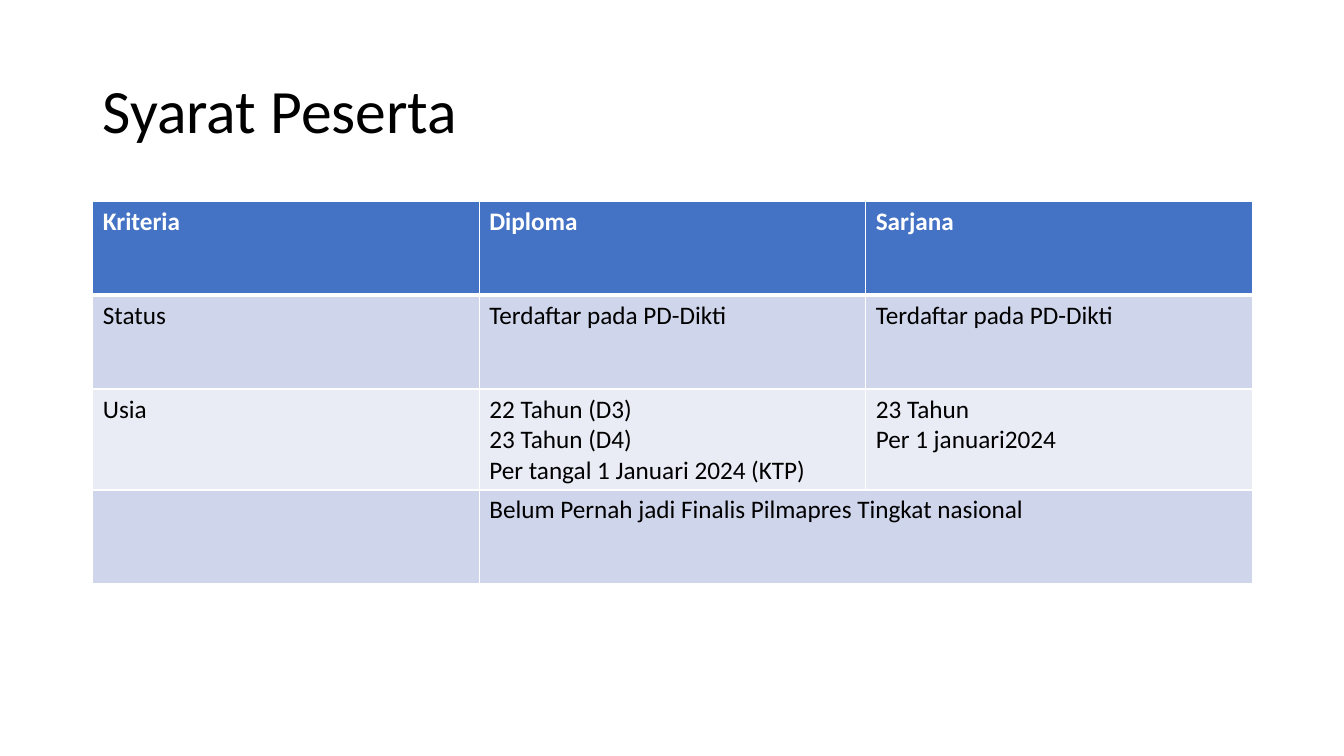
from dataclasses import dataclass

from lxml import etree
from pptx import Presentation, util as u
from pptx.dml.color import RGBColor
from pptx.enum import text
from pptx.oxml import ns


@dataclass(frozen=True)
class Theme:
    font: str = "Calibri"
    title_size: int = 44
    body_size: int = 18
    ink: str = "000000"
    paper: str = "FFFFFF"
    header: str = "4472C4"
    bands: tuple[str, str] = ("CFD5EA", "E9EBF5")
    border: float = 1
    header_rule: float = 3


@dataclass(frozen=True)
class Entry:
    lines: tuple[str, ...] = ()
    columns: int = 1


THEME = Theme()
WIDTH, HEIGHT = u.Inches(13.33), u.Inches(7.5)
MARGIN = u.Inches(0.92)
CONTENT_WIDTH = u.Inches(11.5)
TITLE_TOP, TITLE_HEIGHT = u.Inches(0.4), u.Inches(1.45)
TABLE_TOP, ROW_HEIGHT = u.Inches(2), u.Inches(0.93)
COLUMNS = 3

ROWS = (
    (Entry(("Kriteria",)), Entry(("Diploma",)), Entry(("Sarjana",))),
    (Entry(("Status",)), Entry(("Terdaftar pada PD-Dikti",)),
     Entry(("Terdaftar pada PD-Dikti",))),
    (Entry(("Usia",)),
     Entry(("22 Tahun (D3)", "23 Tahun (D4)", "Per tangal 1 Januari 2024 (KTP)")),
     Entry(("23 Tahun", "Per 1 januari2024"))),
    (Entry(), Entry(("Belum Pernah jadi Finalis Pilmapres Tingkat nasional",), columns=2)),
)


def write(frame, lines: tuple[str, ...], size: int, color: str, bold: bool = False) -> None:
    for index, line in enumerate(lines):
        para = frame.add_paragraph() if index else frame.paragraphs[0]
        span = para.add_run()
        span.text = line
        span.font.name = THEME.font
        span.font.size = u.Pt(size)
        span.font.bold = bold
        span.font.color.rgb = RGBColor.from_string(color)


def add_border(cell, side: str, points: float) -> None:
    """Draw one side of a cell; side is L, R, T or B."""
    properties = cell._tc.get_or_add_tcPr()
    line = etree.SubElement(properties, ns.qn(f"a:ln{side}"), w=str(u.Pt(points)))
    fill = etree.SubElement(line, ns.qn("a:solidFill"))
    etree.SubElement(fill, ns.qn("a:srgbClr"), val=THEME.paper)


def style_cell(cell, row: int) -> None:
    for side in "LRTB":
        # The header rule is shared by the header and the row below it.
        heavy = (row, side) in ((0, "B"), (1, "T"))
        add_border(cell, side, THEME.header_rule if heavy else THEME.border)
    color = THEME.bands[(row - 1) % 2] if row else THEME.header
    cell.fill.solid()
    cell.fill.fore_color.rgb = RGBColor.from_string(color)


def add_title(page, title: str) -> None:
    box = page.shapes.add_textbox(MARGIN, TITLE_TOP, CONTENT_WIDTH, TITLE_HEIGHT)
    frame = box.text_frame
    frame.word_wrap = True
    frame.vertical_anchor = text.MSO_ANCHOR.MIDDLE
    write(frame, (title,), THEME.title_size, THEME.ink)
    frame.paragraphs[0].line_spacing = 0.9


def add_criteria(page) -> None:
    table = page.shapes.add_table(len(ROWS), COLUMNS, MARGIN, TABLE_TOP,
                                  CONTENT_WIDTH, ROW_HEIGHT * len(ROWS)).table
    for row, entries in enumerate(ROWS):
        for column in range(COLUMNS):
            style_cell(table.cell(row, column), row)
        for column, entry in enumerate(entries):
            cell = table.cell(row, column)
            if entry.columns > 1:
                cell.merge(table.cell(row, column + entry.columns - 1))
            write(cell.text_frame, entry.lines, THEME.body_size,
                  THEME.ink if row else THEME.paper, bold=row == 0)


def main() -> None:
    deck = Presentation()
    deck.slide_width, deck.slide_height = WIDTH, HEIGHT
    page = deck.slides.add_slide(deck.slide_layouts[6])
    add_title(page, "Syarat Peserta")
    add_criteria(page)
    deck.save("out.pptx")


if __name__ == "__main__":
    main()
